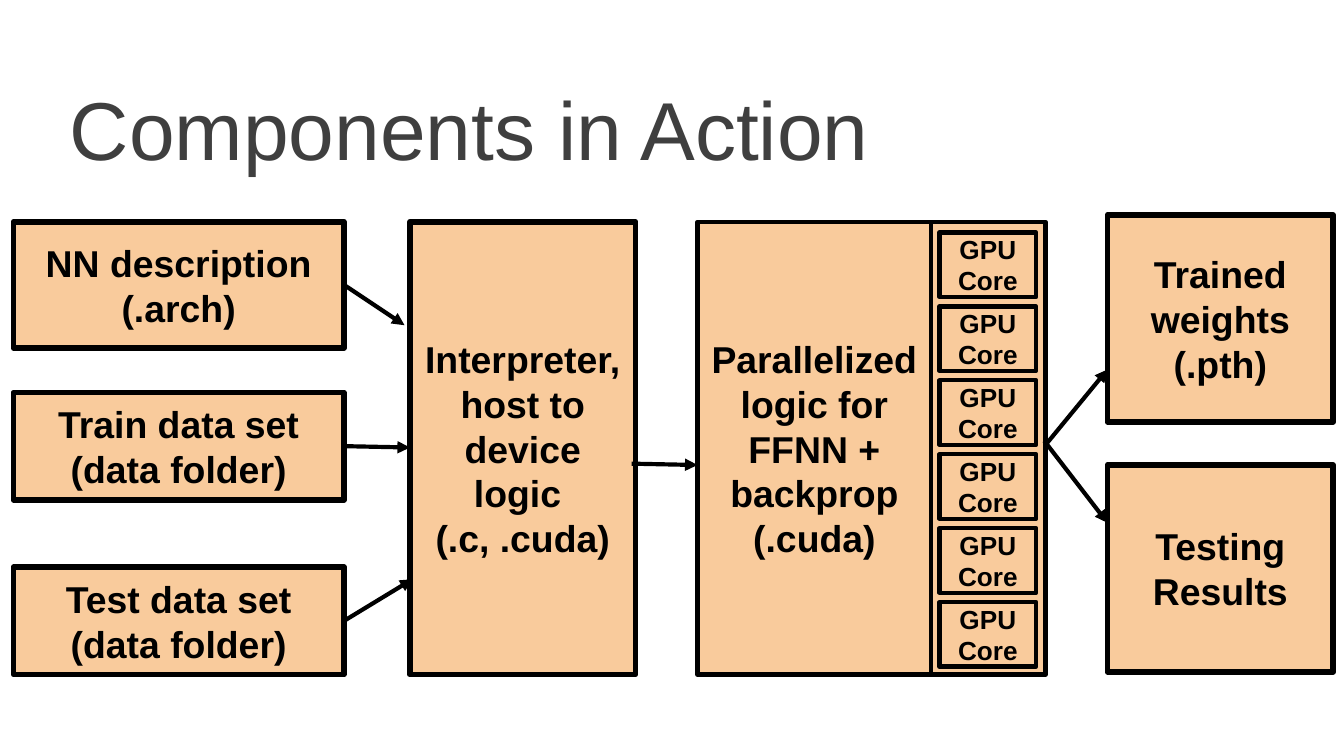
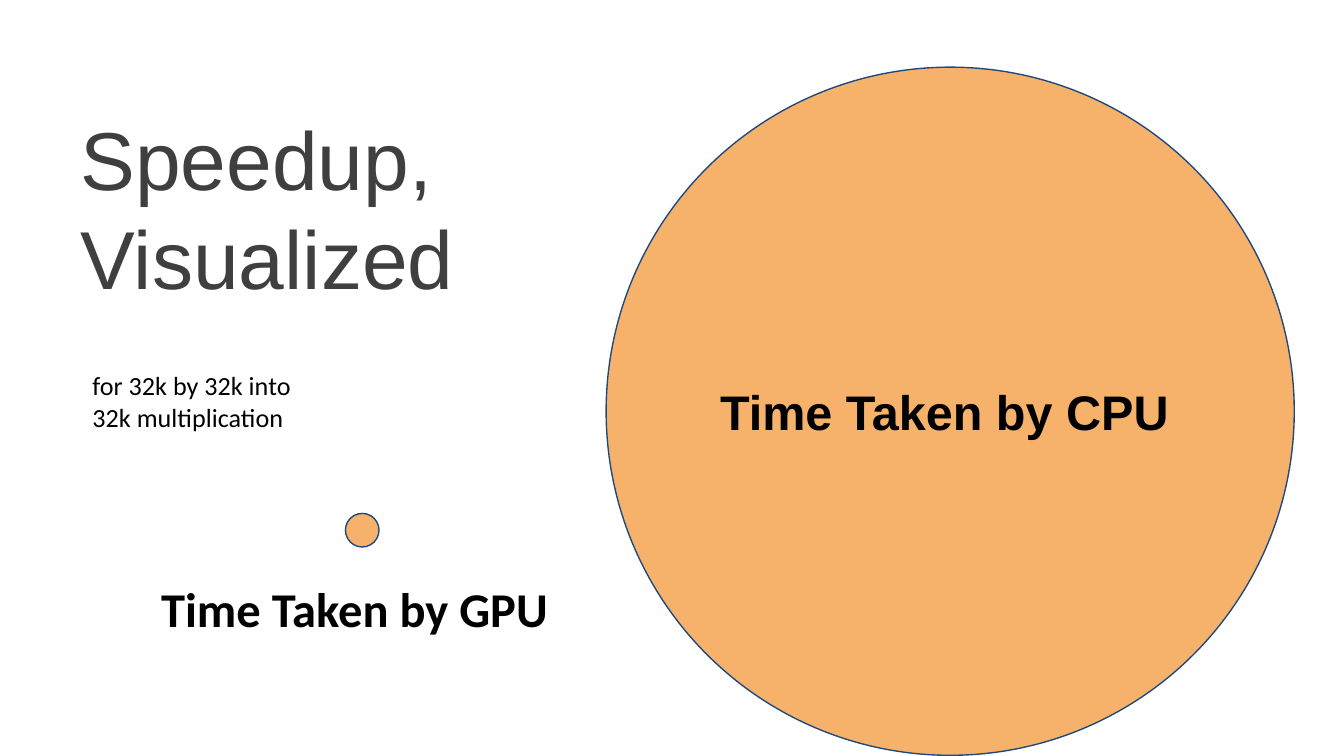
from pptx import Presentation
from pptx import util as u
from pptx.dml.color import RGBColor
from pptx.enum import shapes, text
from pptx.oxml import parse_xml
from pptx.oxml.ns import nsdecls, qn

BLACK, TITLE, NAVY = "000000", "3F3F3F", "1F497D"
PEACH, ORANGE = "F9CB9C", "F6B26B"
CENTER = text.PP_ALIGN.CENTER
MIDDLE, TOP = text.MSO_ANCHOR.MIDDLE, text.MSO_ANCHOR.TOP

# (left, top, width, height), lines
INPUTS = [
    ((0.1, 1.65, 2.46, 0.94), ["NN description (.arch)"]),
    ((0.1, 2.92, 2.46, 0.8), ["Train data set", "(data folder)"]),
    ((0.1, 4.22, 2.46, 0.8), ["Test data set", "(data folder)"]),
]
INTERPRETER = ((3.05, 1.65, 1.68, 3.37),
               ["Interpreter, host to device logic ", "(.c, .cuda)"])
OUTPUTS = [
    ((8.24, 1.6, 1.68, 1.54), ["Trained weights", "(.pth)"]),
    ((8.24, 3.46, 1.68, 1.54), ["Testing Results"]),
]
KERNEL = ((5.19, 1.65, 1.74, 3.37),
          ["Parallelized logic for FFNN + backprop (.cuda)"])
GPU_PANEL = (6.93, 1.65, 0.85, 3.37)
CORE_COUNT, CORE_PITCH = 6, 0.55
FIRST_CORE = (6.99, 1.73, 0.72, 0.48)
ARROWS = [
    ((2.56, 2.12), (3.01, 2.42)),
    ((2.56, 3.32), (3.05, 3.33)),
    ((2.56, 4.62), (3.07, 4.31)),
    ((4.7, 3.45), (5.19, 3.46)),
    ((7.78, 3.31), (8.24, 2.75)),
    ((7.77, 3.28), (8.24, 3.89)),
]
CPU_CIRCLE = (4.51, 0.5, 5.12, 5.12)
GPU_CIRCLE = (2.57, 3.82, 0.25, 0.25)


def rgb(color):
    return RGBColor.from_string(color)


def inches(values):
    return [u.Inches(v) for v in values]


def write(sp, lines, size=20, font="Arial", color=BLACK, bold=False,
          align=None, anchor=MIDDLE, inset_y=0.1):
    tf = sp.text_frame
    tf.word_wrap = True
    tf.auto_size = text.MSO_AUTO_SIZE.NONE
    tf.vertical_anchor = anchor
    tf.margin_left = tf.margin_right = u.Inches(0.1)
    tf.margin_top = tf.margin_bottom = u.Inches(inset_y)
    for i, line in enumerate(lines):
        p = tf.add_paragraph() if i else tf.paragraphs[0]
        p.alignment = align or text.PP_ALIGN.LEFT
        r = p.add_run()
        r.text = line
        r.font.size, r.font.name, r.font.bold = u.Pt(size), font, bold
        r.font.color.rgb = rgb(color)


def add_shape(parent, kind, at, fill, line, width):
    sp = parent.shapes.add_shape(kind, *inches(at))
    sp.shadow.inherit = False
    sp.fill.solid()
    sp.fill.fore_color.rgb = rgb(fill)
    sp.line.color.rgb = rgb(line)
    sp.line.width = u.Pt(width)
    return sp


def add_box(parent, at, lines=(), width=3, size=20):
    sp = add_shape(parent, shapes.MSO_SHAPE.RECTANGLE, at, PEACH, BLACK, width)
    write(sp, lines, size=size, bold=True, align=CENTER)


def add_circle(s, at):
    return add_shape(s, shapes.MSO_SHAPE.OVAL, at, ORANGE, NAVY, 0.75)


def add_arrow(s, start, end):
    cx = s.shapes.add_connector(shapes.MSO_CONNECTOR.STRAIGHT,
                                *inches(start + end))
    cx.line.color.rgb = rgb(BLACK)
    cx.line.width = u.Pt(2.25)
    sp_pr = cx._element.find(qn("p:spPr"))
    sp_pr.find(qn("a:ln")).append(
        parse_xml(f'<a:tailEnd {nsdecls("a")} type="triangle"/>'))
    sp_pr.append(parse_xml(f'<a:effectLst {nsdecls("a")}/>'))


def add_label(s, at, line, **style):
    write(s.shapes.add_textbox(*inches(at)), [line], font="Calibri",
          anchor=TOP, **style)


def add_slide(prs, at, lines):
    s = prs.slides.add_slide(prs.slide_layouts[5])
    title = s.shapes.title
    title.left, title.top, title.width, title.height = inches(at)
    write(title, lines, size=44, color=TITLE, inset_y=0.05)
    return s


def components_slide(prs):
    s = add_slide(prs, (0.42, 0.48, 9, 0.94), ["Components in Action"])
    for at, lines in INPUTS + [INTERPRETER]:
        add_box(s, at, lines)

    gpu = s.shapes.add_group_shape()
    add_box(gpu, GPU_PANEL, width=2.25)
    left, top, width, height = FIRST_CORE
    for i in range(CORE_COUNT):
        add_box(gpu, (left, top + i * CORE_PITCH, width, height),
                ["GPU Core"], width=2.25, size=14)
    add_box(s, *KERNEL, width=2.25)

    for at, lines in OUTPUTS:
        add_box(s, at, lines)
    for start, end in ARROWS:
        add_arrow(s, start, end)


def speedup_slide(prs):
    s = add_slide(prs, (0.5, 0.75, 9, 1.58), ["Speedup,", "Visualized"])
    add_circle(s, GPU_CIRCLE)
    write(add_circle(s, CPU_CIRCLE), ["Time Taken by CPU"], size=26, bold=True)
    add_label(s, (1.1, 4.21, 3.2, 0.64), "Time Taken by GPU",
              size=26, bold=True)
    add_label(s, (0.59, 2.65, 1.83, 0.67),
              "for 32k by 32k into 32k multiplication", size=14)


def main():
    prs = Presentation()
    prs.slide_width = u.Inches(10)
    prs.slide_height = prs.slide_width * 9 // 16
    components_slide(prs)
    speedup_slide(prs)
    prs.save("out.pptx")


if __name__ == "__main__":
    main()
